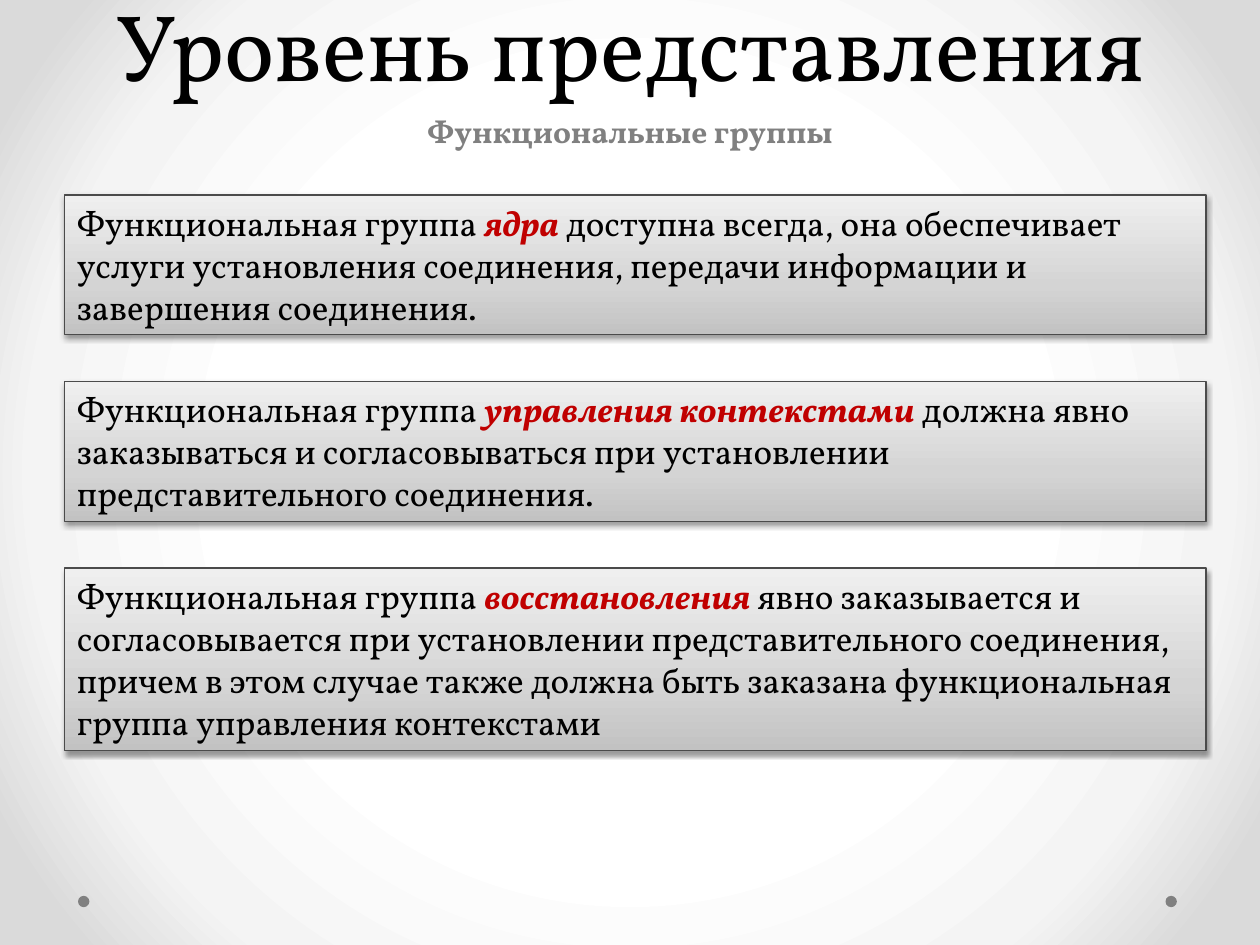
"""Builds the slide on the functional groups of the presentation layer."""
from pptx import Presentation
from pptx.dml.color import RGBColor
from pptx.enum.shapes import MSO_SHAPE
from pptx.enum.text import MSO_ANCHOR, MSO_AUTO_SIZE, PP_ALIGN
from pptx.oxml import parse_xml
from pptx.oxml.ns import nsdecls, qn
from pptx.util import Pt

RECTANGLE, OVAL = MSO_SHAPE.RECTANGLE, MSO_SHAPE.OVAL
LEFT, CENTER = PP_ALIGN.LEFT, PP_ALIGN.CENTER
TOP, BOTTOM = MSO_ANCHOR.TOP, MSO_ANCHOR.BOTTOM
GROW, FIXED = MSO_AUTO_SIZE.SHAPE_TO_FIT_TEXT, MSO_AUTO_SIZE.NONE

FONT = "Vollkorn"
BLACK, GRAY, RED, OUTLINE = "000000", "808080", "C00000", "4B4B4B"
TITLE = "Уровень представления"
SUBTITLE = "Функциональные группы"
LEAD = "Функциональная группа "
GROUPS = [
    ("ядра", " доступна всегда, она обеспечивает услуги установления соединения, "
     "передачи информации и завершения соединения.", 80),
    ("управления контекстами", " должна явно заказываться и согласовываться при "
     "установлении представительного соединения.", 80),
    ("восстановления", " явно заказывается и согласовывается при установлении "
     "представительного соединения, причем в этом случае также должна быть заказана "
     "функциональная группа управления контекстами", 104.4),
]
GROUP_LEFT, GROUP_TOP, GROUP_WIDTH, GROUP_GAP = 36.8, 111.4, 652.4, 26.6
DOT_LEFTS, DOT_TOP, DOT_SIZE = (44.6, 666), 511.9, 6.5

BACKDROP_STOPS = [(50, "FFFFFF"), (76, "F4F4F4"), (92, "DADADA")]
BACKDROP_PATH = ('<a:path path="circle"><a:fillToRect l="50000" t="50000" '
                 'r="50000" b="50000"/></a:path>')
GROUP_STOPS = [(0, "C2C2C2"), (35, "D4D4D4"), (100, "EFEFEF")]
GROUP_PATH = '<a:lin ang="16200000" scaled="0"/>'


def color(value):
    return RGBColor.from_string(value)


def set_gradient(fill, parent, stops, path):
    fill.solid()
    marks = "".join(f'<a:gs pos="{position * 1000}"><a:srgbClr val="{value}"/></a:gs>'
                    for position, value in stops)
    gradient = parse_xml(f'<a:gradFill {nsdecls("a")} rotWithShape="1">'
                         f'<a:gsLst>{marks}</a:gsLst>{path}</a:gradFill>')
    parent.replace(parent.find(qn("a:solidFill")), gradient)


def add_shadow(shape):
    shape.shadow.inherit = False
    shape._element.spPr.find(qn("a:effectLst")).append(parse_xml(
        f'<a:outerShdw {nsdecls("a")} blurRad="{Pt(3.1)}" dist="{Pt(1.6)}" '
        f'dir="5400000" rotWithShape="0"><a:srgbClr val="{BLACK}">'
        '<a:alpha val="38000"/></a:srgbClr></a:outerShdw>'))


def write(shape, runs, size, align, anchor=TOP, fit=GROW, spacing=None):
    frame = shape.text_frame
    frame.word_wrap = True
    frame.auto_size = fit
    frame.vertical_anchor = anchor
    paragraph = frame.paragraphs[0]
    paragraph.alignment = align
    paragraph.line_spacing = spacing
    for text, shade, bold, italic in runs:
        run = paragraph.add_run()
        run.text = text
        run.font.name = FONT
        run.font.size = Pt(size)
        run.font.bold = bold
        run.font.italic = italic
        run.font.color.rgb = color(shade)


def add_dot(slide, left):
    dot = slide.shapes.add_shape(OVAL, Pt(left), Pt(DOT_TOP), Pt(DOT_SIZE), Pt(DOT_SIZE))
    dot.shadow.inherit = False
    dot.fill.solid()
    dot.fill.fore_color.rgb = color(GRAY)
    dot.line.fill.background()


def add_group(slide, top, name, description, height):
    group = slide.shapes.add_shape(RECTANGLE, Pt(GROUP_LEFT), Pt(top),
                                   Pt(GROUP_WIDTH), Pt(height))
    set_gradient(group.fill, group._element.spPr, GROUP_STOPS, GROUP_PATH)
    group.line.color.rgb = color(OUTLINE)
    group.line.width = Pt(0.75)
    add_shadow(group)
    write(group, [(LEAD, BLACK, False, False), (name, RED, True, True),
                  (description, BLACK, False, False)], 20, LEFT)


def main():
    deck = Presentation()
    deck.slide_width, deck.slide_height = Pt(720), Pt(540)
    slide = deck.slides.add_slide(deck.slide_layouts[6])
    backdrop = slide.background.fill
    set_gradient(backdrop, slide.element.find(".//" + qn("p:bgPr")),
                 BACKDROP_STOPS, BACKDROP_PATH)

    for left in DOT_LEFTS:
        add_dot(slide, left)

    title = slide.shapes.add_textbox(Pt(36), Pt(-64.8), Pt(648), Pt(126))
    write(title, [(TITLE, BLACK, False, False)], 54, CENTER, BOTTOM, FIXED, Pt(58))
    subtitle = slide.shapes.add_textbox(Pt(8.6), Pt(60.5), Pt(702.8), Pt(29))
    write(subtitle, [(SUBTITLE, GRAY, True, False)], 18, CENTER)

    top = GROUP_TOP
    for name, description, height in GROUPS:
        add_group(slide, top, name, description, height)
        top += height + GROUP_GAP

    deck.save("out.pptx")


if __name__ == "__main__":
    main()
